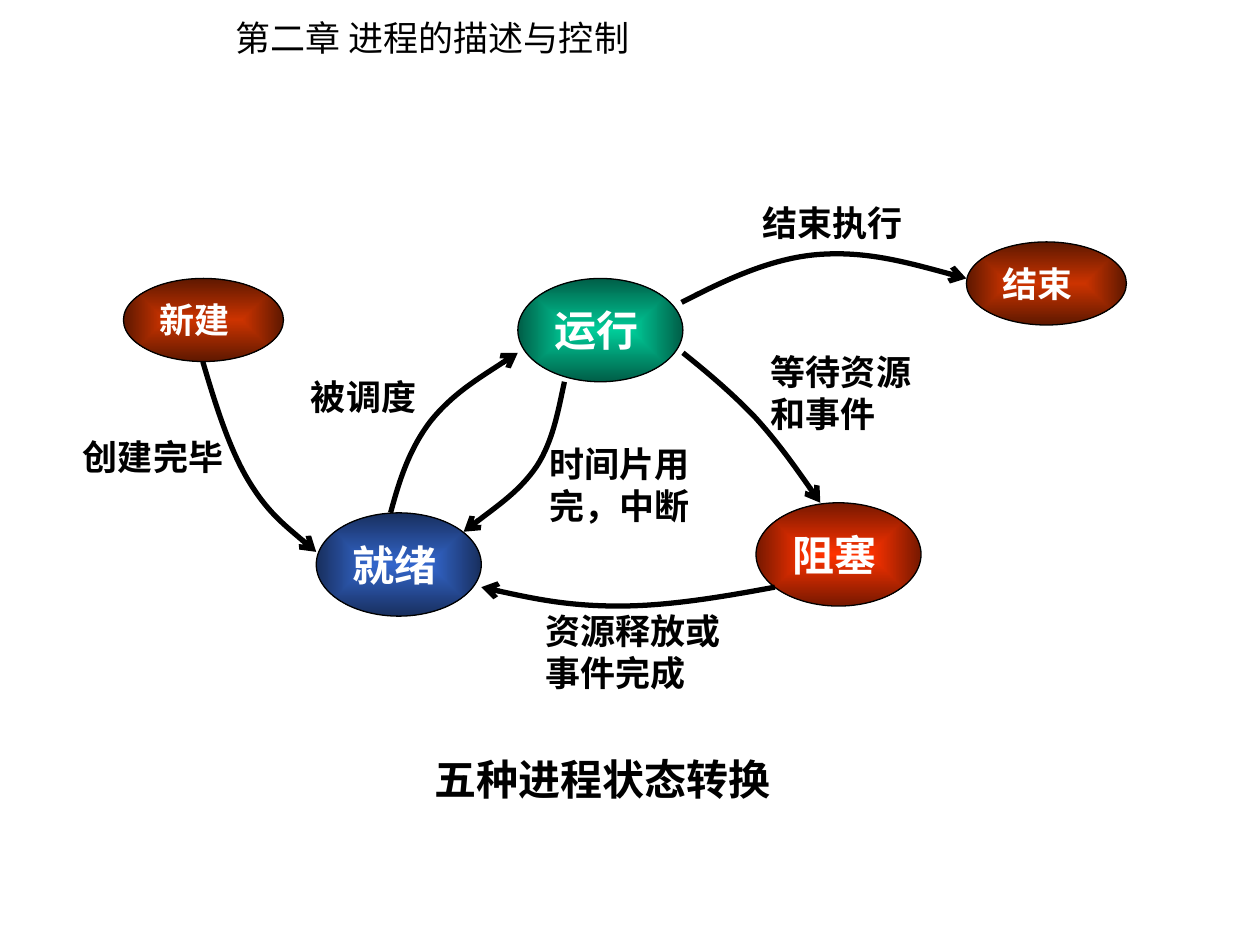
import pptx
import pptx.dml.color
import pptx.enum.shapes
import pptx.enum.text
import pptx.oxml
import pptx.oxml.ns
import pptx.util

COLUMNS, ROWS = 100, 75
CELL = pptx.util.Inches(0.1)
COLORS = {
    "ink": "000000", "paper": "FFFFFF",
    "green": "00CC99", "green_edge": "005E47",
    "blue": "3366CC", "blue_edge": "182F5E",
    "red": "FF3300", "red_edge": "761800",
    "rust": "CC3300", "rust_edge": "5E1800",
}
LATIN, CHINESE = "Times New Roman", "Noto Sans CJK SC"

# Boxes are left, top, width, height in cells of the diagram region.
STATES = [
    ("运行", (35.5, 6.6, 13.1, 8.2), "green", 24),
    ("就绪", (19.5, 25.2, 13.1, 8.2), "blue", 24),
    ("阻塞", (54.4, 24.4, 13.1, 8.2), "red", 24),
    ("新建", (4.2, 6.6, 12.7, 6.6), "rust", 20),
    ("结束", (71.1, 3.7, 12.7, 6.6), "rust", 20),
]
# Each curve is a start point, then three points for each Bézier segment.
TRANSITIONS = [
    ("被调度", (18.1, 13.8, 12.3, 4.4),
     [(25.4, 25.2), (26.1, 22.6), (26.9, 20.1), (28.6, 17.9),
      (30.3, 15.8), (32.9, 14.2), (35.5, 12.5)]),
    ("时间片用完，中断", (37, 19.1, 15.1, 7.7),
     [(39.2, 14.8), (38.7, 17.1), (38.3, 19.5), (37, 21.5),
      (35.7, 23.4), (33.4, 25), (31.2, 26.7)]),
    ("资源释放或事件完成", (36.7, 32.4, 17.6, 7.7),
     [(55.9, 31.1), (51.6, 31.9), (47.4, 32.6), (43.5, 32.6),
      (39.6, 32.6), (36.1, 31.9), (32.6, 31.1)]),
    ("等待资源\n和事件", (54.6, 11.8, 16, 7.7),
     [(48.6, 12.5), (50.6, 14.1), (52.6, 15.8), (54.4, 17.7),
      (56.2, 19.7), (57.9, 22.1), (59.5, 24.4)]),
    ("创建完毕", (0, 18.6, 14.5, 4.4),
     [(10.5, 13.2), (11.5, 16.6), (12.6, 20.1), (14.1, 22.6),
      (15.6, 25.1), (17.6, 26.7), (19.5, 28.3)]),
    ("结束执行", (53.9, 0, 15.4, 4.4),
     [(48.5, 8.5), (52, 6.7), (55.6, 5), (59.3, 4.7),
      (63.1, 4.4), (67.1, 5.5), (71.1, 6.6)]),
]


def rgb(name):
    return pptx.dml.color.RGBColor.from_string(COLORS[name])


def cells(*values):
    return [round(value * CELL) for value in values]


def within(region, box):
    left, top, width, height = box
    return region[0] + left, region[1] + top, width, height


def write(shape, text, size=20, color="ink", bold=True, font=LATIN,
          wrap=True, anchor="TOP"):
    frame = shape.text_frame
    frame.word_wrap = wrap
    frame.auto_size = pptx.enum.text.MSO_AUTO_SIZE.NONE
    frame.vertical_anchor = getattr(pptx.enum.text.MSO_ANCHOR, anchor)
    frame.text = text
    for para in frame.paragraphs:
        para.alignment = pptx.enum.text.PP_ALIGN.LEFT
        for span in para.runs:
            span.font.size = pptx.util.Pt(size)
            span.font.bold = bold
            span.font.name = font
            span.font.color.rgb = rgb(color)
            latin = span.font._element.find(pptx.oxml.ns.qn("a:latin"))
            east_asian = pptx.oxml.parse_xml(
                f'<a:ea {pptx.oxml.ns.nsdecls("a")} typeface="{CHINESE}"/>')
            latin.addnext(east_asian)


def add_heading(page, box, text):
    title = page.shapes.title
    title.left, title.top, title.width, title.height = cells(*box)
    write(title, text, bold=False, font=CHINESE, wrap=False)


def add_label(page, box, text, **style):
    write(page.shapes.add_textbox(*cells(*box)), text, **style)


def fill_from_centre(shape, centre, edge):
    shape.fill.gradient()
    for stop, name in zip(shape.fill.gradient_stops, (centre, edge)):
        stop.color.rgb = rgb(name)
    linear = shape._element.spPr.find(".//" + pptx.oxml.ns.qn("a:lin"))
    linear.getparent().replace(linear, pptx.oxml.parse_xml(
        f'<a:path {pptx.oxml.ns.nsdecls("a")} path="rect"><a:fillToRect '
        'l="50000" t="50000" r="50000" b="50000"/></a:path>'))


def add_state(page, box, text, color, size):
    oval = page.shapes.add_shape(
        pptx.enum.shapes.MSO_SHAPE.OVAL, *cells(*box))
    oval.shadow.inherit = False
    fill_from_centre(oval, color, color + "_edge")
    oval.line.color.rgb = rgb("ink")
    oval.line.width = pptx.util.Pt(0.75)
    write(oval, text, size=size, color="paper", wrap=False, anchor="MIDDLE")


def add_curve(page, region, points):
    """Draw an arrow whose points, after the first, form cubic segments."""
    start, *others = [cells(region[0] + x, region[1] + y) for x, y in points]
    builder = page.shapes.build_freeform(*start)
    builder.add_line_segments(others, close=False)
    curve = builder.convert_to_shape()
    lines = list(curve._element.iter(pptx.oxml.ns.qn("a:lnTo")))
    for first in range(0, len(lines), 3):
        cubic = pptx.oxml.parse_xml(
            f'<a:cubicBezTo {pptx.oxml.ns.nsdecls("a")}/>')
        lines[first].addprevious(cubic)
        for line in lines[first:first + 3]:
            cubic.append(line[0])
            line.getparent().remove(line)
    curve.shadow.inherit = False
    curve.fill.background()
    curve.line.color.rgb = rgb("ink")
    curve.line.width = pptx.util.Pt(3)
    curve.line._get_or_add_ln().append(pptx.oxml.parse_xml(
        f'<a:tailEnd {pptx.oxml.ns.nsdecls("a")} type="arrow"/>'))


def add_state_diagram(page, region):
    for text, box, color, size in STATES:
        add_state(page, within(region, box), text, color, size)
    for text, box, points in TRANSITIONS:
        add_curve(page, region, points)
        add_label(page, within(region, box), text)


def main():
    deck = pptx.Presentation()
    deck.slide_width, deck.slide_height = cells(COLUMNS, ROWS)
    page = deck.slides.add_slide(deck.slide_layouts.get_by_name("Title Only"))
    add_heading(page, (17.7, 0.8, 33.8, 4.4), "第二章 进程的描述与控制")
    add_state_diagram(page, (5.6, 15.5, 83.8, 40.1))
    add_label(page, (33.5, 59.3, 29.1, 5), "五种进程状态转换", size=24)
    deck.save("out.pptx")


if __name__ == "__main__":
    main()
